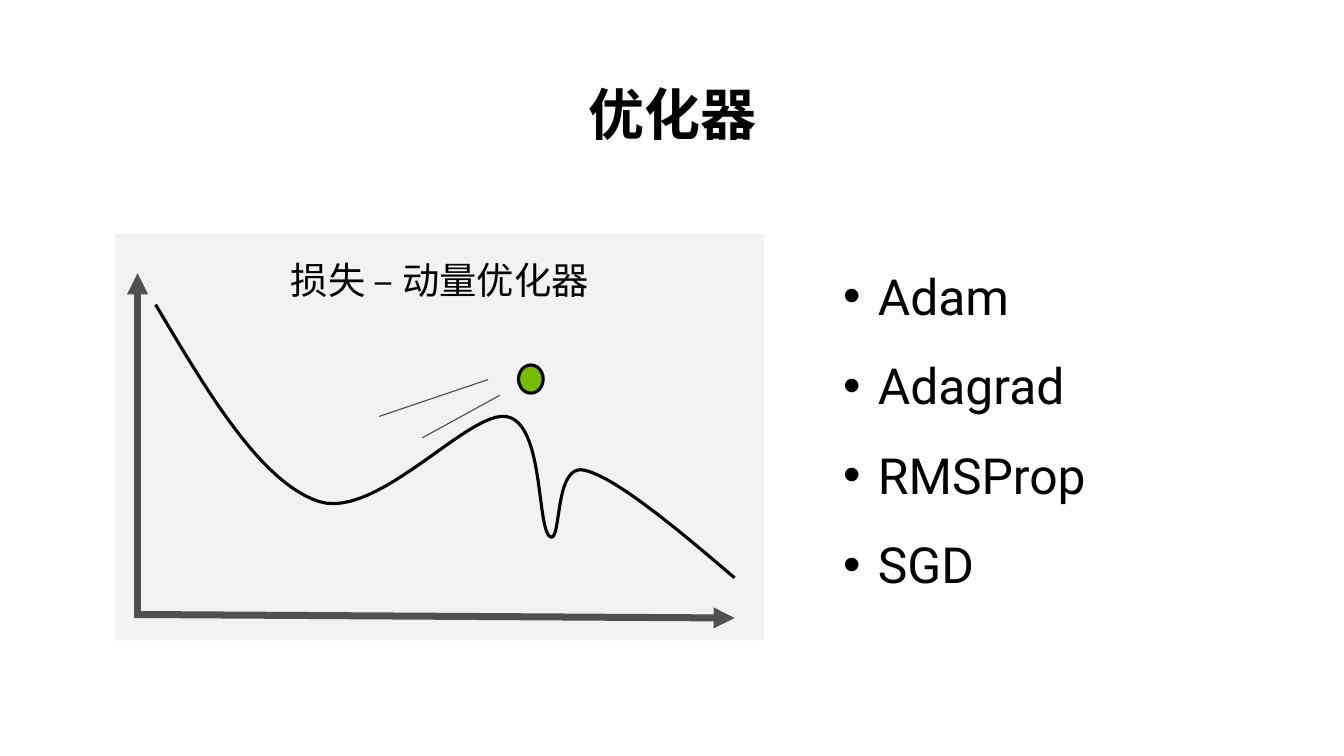
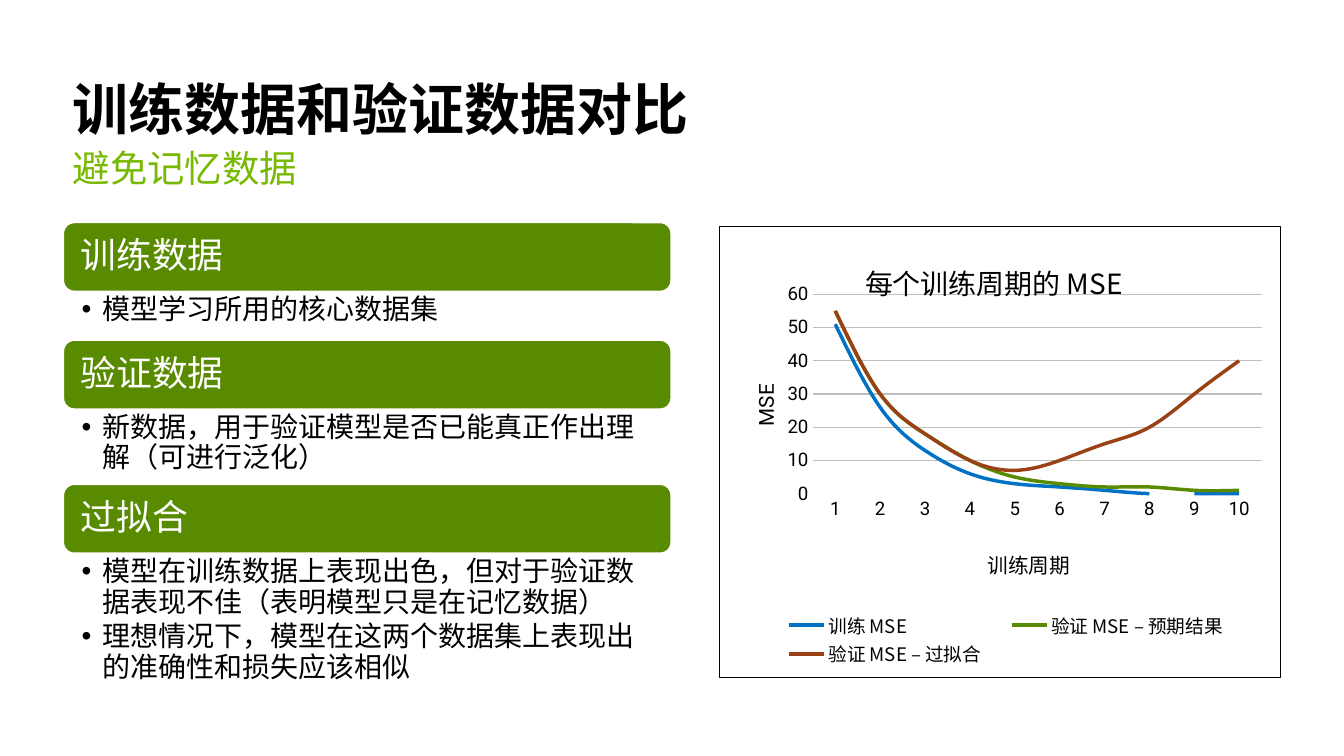
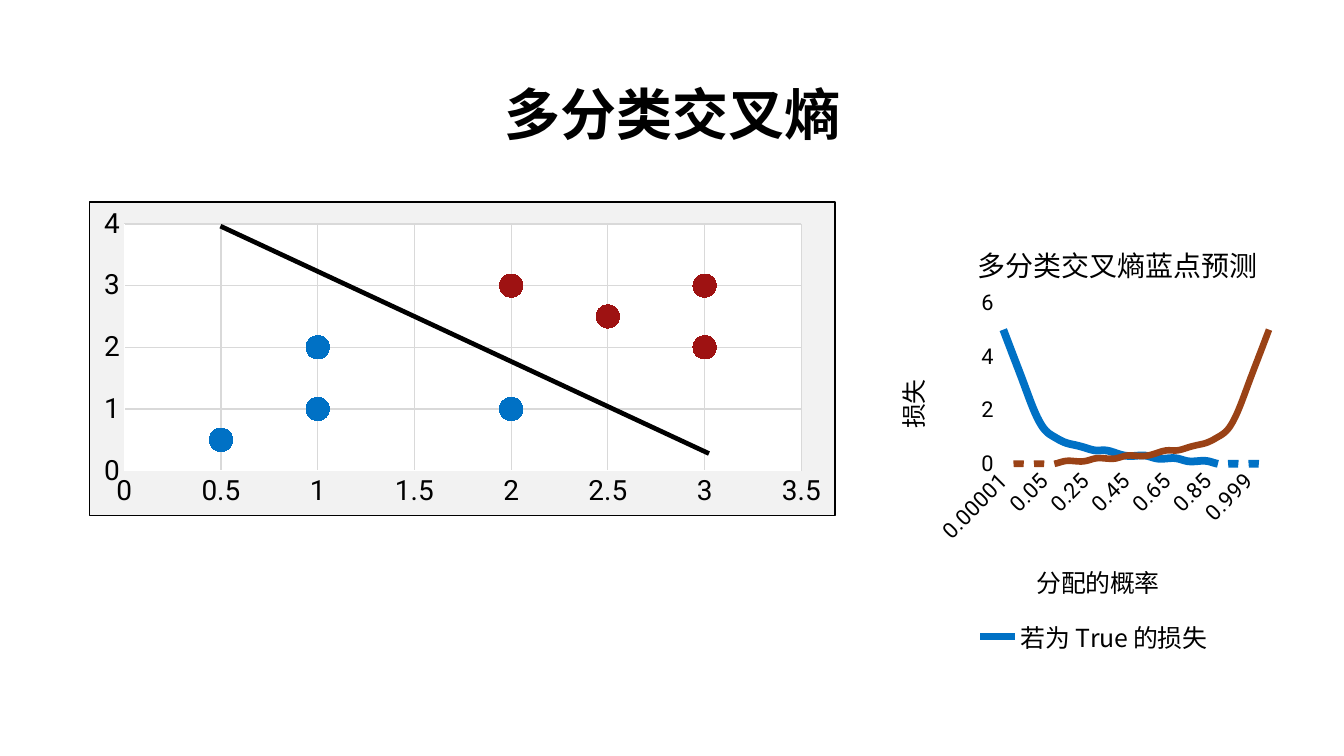
from pptx import Presentation
from pptx import util as u
from pptx.chart import data
from pptx.dml.color import RGBColor
from pptx.enum import chart as kinds
from pptx.enum import shapes, text
from pptx.oxml import parse_xml
from pptx.oxml.ns import nsdecls

Cm, Pt = u.Cm, u.Pt
BLACK = RGBColor(0, 0, 0)
WHITE = RGBColor(255, 255, 255)
PALE = RGBColor(0xF2, 0xF2, 0xF2)
GRAY = RGBColor(0x50, 0x50, 0x50)
MIST = RGBColor(0xD9, 0xD9, 0xD9)
SILVER = RGBColor(0xBF, 0xBF, 0xBF)
LIME = RGBColor(0x76, 0xB9, 0x00)
GREEN = RGBColor(0x59, 0x8B, 0x00)
BLUE = RGBColor(0x00, 0x71, 0xC5)
BROWN = RGBColor(0x9A, 0x42, 0x16)
RED = RGBColor(0x9E, 0x12, 0x12)
LATIN, HAN = "Roboto", "Noto Sans CJK SC"
LEFT, MID = text.PP_ALIGN.LEFT, text.PP_ALIGN.CENTER
TOP, HALF, LOW = text.MSO_ANCHOR.TOP, text.MSO_ANCHOR.MIDDLE, text.MSO_ANCHOR.BOTTOM
NS = nsdecls("a", "c")


def write(frame, words, size=18, color=BLACK, font=LATIN, bold=False, align=LEFT,
          anchor=None, pads=None, lines=None, after=None, hang=None):
    frame.word_wrap = True
    if anchor is not None:
        frame.vertical_anchor = anchor
    if pads:
        (frame.margin_left, frame.margin_top,
         frame.margin_right, frame.margin_bottom) = [Cm(pad) for pad in pads]
    for num, line in enumerate(words.split("\n")):
        para = frame.add_paragraph() if num else frame.paragraphs[0]
        para.alignment = align
        if lines:
            para.line_spacing = lines
        if after:
            para.space_after = Pt(after)
        if hang:
            props = para._p.get_or_add_pPr()
            props.set("marL", str(Cm(hang)))
            props.set("indent", str(-Cm(hang)))
            props.append(parse_xml(f'<a:buFont {NS} typeface="Arial"/>'))
            props.append(parse_xml(f'<a:buChar {NS} char="•"/>'))
        run = para.add_run()
        run.text = line
        run.font.name, run.font.size, run.font.bold = font, Pt(size), bold
        run.font.color.rgb = color


def layout(node, left, top, width=None, height=None, inner=False):
    for old in node.xpath("./c:layout"):
        node.remove(old)
    tags = '<c:layoutTarget val="inner"/>' if inner else ""
    tags += '<c:xMode val="edge"/><c:yMode val="edge"/>'
    for tag, val in zip("xywh", (left, top, width, height)):
        if val is not None:
            tags += f'<c:{tag} val="{val}"/>'
    part = parse_xml(f"<c:layout {NS}><c:manualLayout>{tags}</c:manualLayout></c:layout>")
    over = node.xpath("./c:overlay")
    if over:
        over[0].addprevious(part)
    else:
        node.insert(0, part)


deck = Presentation()
deck.slide_width, deck.slide_height = Cm(30.48), Cm(17.15)
pages = []
for name, top, width, height, align in [
    ("优化器", 1.83, 27.71, 1.65, MID),
    ("训练数据和验证数据对比", 1.63, 16.46, 1.73, LEFT),
    ("多分类交叉熵", 1.83, 27.71, 1.65, MID),
]:
    page = deck.slides.add_slide(deck.slide_layouts[6])
    box = page.shapes.add_textbox(Cm(1.4), Cm(top), Cm(width), Cm(height))
    write(box.text_frame, name, size=36, bold=True, align=align, anchor=LOW, lines=0.9)
    pages.append(page)
first, second, third = pages

panel = first.shapes.add_shape(shapes.MSO_SHAPE.RECTANGLE,
                               Cm(2.62), Cm(5.31), Cm(14.71), Cm(9.22))
panel.shadow.inherit = False
panel.fill.solid()
panel.fill.fore_color.rgb = PALE
panel.line.fill.background()
write(panel.text_frame, "损失 – 动量优化器", size=24, align=MID, anchor=TOP,
      pads=(0.25, 0.53, 0.25, 0.13))

start = (3.53, 6.91)
bends = [
    ((4.72, 8.92), (5.92, 10.95), (7.24, 11.38)),
    ((8.56, 11.79), (10.62, 9.32), (11.48, 9.45)),
    ((12.34, 9.58), (12.17, 11.96), (12.47, 12.17)),
    ((12.75, 12.37), (12.55, 10.49), (13.26, 10.67)),
    ((13.94, 10.82), (15.32, 11.96), (16.66, 13.11)),
]
pen = first.shapes.build_freeform(Cm(start[0]), Cm(start[1]))
dots = []
for one, two, end in bends:
    for step in range(1, 25):
        t = step / 24
        dots.append([Cm((1 - t) ** 3 * a + 3 * t * (1 - t) ** 2 * b
                        + 3 * t * t * (1 - t) * c + t ** 3 * d)
                     for a, b, c, d in zip(start, one, two, end)])
    start = end
pen.add_line_segments(dots, close=False)
curve = pen.convert_to_shape()
curve.fill.background()
ball = first.shapes.add_shape(shapes.MSO_SHAPE.OVAL,
                              Cm(11.76), Cm(8.28), Cm(0.56), Cm(0.64))
ball.fill.solid()
ball.fill.fore_color.rgb = LIME
for item in (curve, ball):
    item.shadow.inherit = False
    item.line.color.rgb = BLACK
    item.line.width = Pt(2)

box = first.shapes.add_textbox(Cm(18.87), Cm(5.31), Cm(8.51), Cm(8.2))
write(box.text_frame, "Adam\nAdagrad\nRMSProp\nSGD", size=32, anchor=HALF,
      lines=1.5, hang=0.79)

box = second.shapes.add_textbox(Cm(1.4), Cm(3.28), Cm(16.46), Cm(1.45))
write(box.text_frame, "避免记忆数据", size=24, color=LIME, lines=0.9)

top = 5.03
for head, body, height in [
    ("训练数据", "模型学习所用的核心数据集", 1.07),
    ("验证数据", "新数据，用于验证模型是否已能真正作出理解（可进行泛化）", 1.67),
    ("过拟合", "模型在训练数据上表现出色，但对于验证数据表现不佳（表明模型只是在记忆数据）\n"
     "理想情况下，模型在这两个数据集上表现出的准确性和损失应该相似", 3.3),
]:
    bar = second.shapes.add_shape(shapes.MSO_SHAPE.ROUNDED_RECTANGLE,
                                  Cm(1.42), Cm(top), Cm(13.82), Cm(1.6))
    bar.shadow.inherit = False
    bar.fill.solid()
    bar.fill.fore_color.rgb = GREEN
    bar.line.color.rgb = WHITE
    bar.line.width = Pt(2)
    write(bar.text_frame, head, size=23, color=WHITE, anchor=HALF,
          pads=(0.33, 0.25, 0.33, 0.25), lines=0.9)
    box = second.shapes.add_textbox(Cm(1.42), Cm(top + 1.6), Cm(13.82), Cm(height))
    write(box.text_frame, body, pads=(0.43, 0.08, 0.46, 0.08), lines=0.9,
          after=3, hang=0.48)
    top += 1.6 + height

epochs = data.CategoryChartData()
epochs.categories = [str(num) for num in range(1, 11)]
epochs.add_series("训练 MSE", [51, 26, 13, 6, 3, 2, 1, 0, 0, 0])
epochs.add_series("验证 MSE – 预期结果", [55, 30, 18, 10, 5, 3, 2, 2, 1, 1])
epochs.add_series("验证 MSE – 过拟合", [55, 30, 18, 10, 7, 10, 15, 20, 30, 40])

odds = data.CategoryChartData()
odds.categories = (["0.00001", "0.0001", "0.001", "0.01"]
                   + [f"{num / 20:g}" for num in range(1, 20)]
                   + ["0.99", "0.999", "0.9999", "0.99999"])
odds.add_series("若为 True 的损失", [
    5, 4, 3, 2, 1.3, 1, 0.8, 0.7, 0.6, 0.5, 0.5, 0.4, 0.3, 0.3,
    0.3, 0.2, 0.2, 0.2, 0.1, 0.1, 0.1, 0, 0, 0, 0, 0, 0])
odds.add_series("若为 False 的损失", [
    0, 0, 0, 0, 0, 0, 0.1, 0.1, 0.1, 0.2, 0.2, 0.2, 0.3, 0.3,
    0.3, 0.4, 0.5, 0.5, 0.6, 0.7, 0.8, 1, 1.3, 2, 3, 4, 5])

points = data.XyChartData()
for name, pairs in [
    ("Series 1", [(1, 1), (1, 2), (2, 1), (0.5, 0.5)]),
    ("Series 2", [(2, 3), (3, 3), (3, 2), (2.5, 2.5)]),
]:
    group = points.add_series(name)
    for x, y in pairs:
        group.add_data_point(x, y)

EDGE = '<a:ln w="9525"><a:solidFill><a:srgbClr val="000000"/></a:solidFill></a:ln>'
BARE = "<a:noFill/><a:ln><a:noFill/></a:ln>"
FILL = '<a:solidFill><a:srgbClr val="{}"/></a:solidFill>'
LINE, CLOUD = kinds.XL_CHART_TYPE.LINE, kinds.XL_CHART_TYPE.XY_SCATTER
for page, kind, spot, source, size, peak, unit, grid, plot, skin, inks, names, key in [
    (second, LINE, (16.31, 5.13, 12.75, 10.26), epochs, 12, 60, 10, SILVER,
     (0.166, 0.15, 0.8, 0.442), EDGE, [(BLUE, 2.25), (GREEN, 2.25), (BROWN, 2.25)],
     [("每个训练周期的 MSE", 18, HAN, 0.25, 0.06), ("训练周期", 13.3, HAN, 0.47, 0.7),
      ("MSE", 13.3, LATIN, 0.05, 0.34)], (12, 0.08, 0.85, 0.86, 0.13)),
    (third, CLOUD, (2.01, 4.57, 16.94, 7.14), points, 18, 4, 1, MIST,
     (0.047, 0.07, 0.908, 0.787), FILL.format(PALE) + EDGE, [(BLUE, 0), (RED, 0)],
     [], None),
    (third, LINE, (19.46, 4.7, 9.63, 10.59), odds, 14, 6, 2, WHITE,
     (0.33, 0.205, 0.65, 0.345), BARE, [(BLUE, 5), (BROWN, 4.25)],
     [("多分类交叉熵蓝点预测", 18, HAN, 0.27, 0.06), ("分配的概率", 16, LATIN, 0.41, 0.75),
      ("损失", 16, HAN, 0.07, 0.36)], (16, 0.23, 0.88, 0.65, 0.08)),
]:
    chart = page.shapes.add_chart(kind, *[Cm(num) for num in spot], source).chart
    root = chart.element
    chart.font.name, chart.font.size = LATIN, Pt(10)
    chart.font.color.rgb = BLACK
    chart.has_title = bool(names)
    chart.has_legend = bool(key)
    across, up = chart.category_axis, chart.value_axis
    up.minimum_scale, up.maximum_scale, up.major_unit = 0, peak, unit
    across.has_major_gridlines = kind == CLOUD
    up.has_major_gridlines = True
    for axis in (across, up):
        axis.major_tick_mark = axis.minor_tick_mark = kinds.XL_TICK_MARK.NONE
        axis.tick_labels.font.size = Pt(size)
        axis.tick_labels.font.name = LATIN
        axis.tick_labels.font.color.rgb = BLACK
        axis.format.line.color.rgb = WHITE
        axis.format.line.width = Pt(0.75)
        if axis.has_major_gridlines:
            axis.major_gridlines.format.line.color.rgb = grid
            axis.major_gridlines.format.line.width = Pt(0.75)
    area = root.xpath("./c:chart/c:plotArea")[0]
    layout(area, *plot, inner=True)
    root.xpath("./c:chart")[0].addnext(parse_xml(f"<c:spPr {NS}>{skin}</c:spPr>"))
    for group, (ink, weight) in zip(chart.plots[0].series, inks):
        if kind == LINE:
            group.smooth = True
            group.format.line.color.rgb = ink
            group.format.line.width = Pt(weight)
        else:
            group.format.line.fill.background()
            mark = group.marker
            mark.style, mark.size = kinds.XL_MARKER_STYLE.CIRCLE, 15
            mark.format.fill.solid()
            mark.format.fill.fore_color.rgb = ink
            mark.format.line.color.rgb = ink
    if kind == CLOUD:
        across.minimum_scale, across.maximum_scale, across.major_unit = 0, 3.5, 0.5
        area.append(parse_xml(f"<c:spPr {NS}>{FILL.format(WHITE)}</c:spPr>"))
    else:
        chart.plots[0].vary_by_categories = False
        up.format.line.fill.background()
        for node in root.xpath(".//c:valAx[not(c:crossBetween)]/c:crosses"):
            node.addnext(parse_xml(f'<c:crossBetween {NS} val="between"/>'))
        holds = (chart.chart_title, across.axis_title, up.axis_title)
        for hold, (words, scale, font, left, high) in zip(holds, names):
            write(hold.text_frame, words, size=scale, font=font, align=MID)
        for node, (*_, left, high) in zip(root.xpath(".//c:title"), names):
            layout(node, left, high)
        root.xpath(".//c:valAx/c:title//a:bodyPr")[0].set("rot", "-5400000")
        legend = chart.legend
        legend.position = kinds.XL_LEGEND_POSITION.BOTTOM
        legend.include_in_layout = False
        legend.font.name, legend.font.size = HAN, Pt(key[0])
        legend.font.color.rgb = BLACK
        layout(root.xpath(".//c:legend")[0], key[1], key[2], key[3], key[4])
    if source is odds:
        root.xpath(".//c:legendPos")[0].addnext(parse_xml(
            f'<c:legendEntry {NS}><c:idx val="1"/><c:delete val="1"/></c:legendEntry>'))
        root.xpath(".//c:catAx/c:txPr/a:bodyPr")[0].set("rot", "-2700000")
        root.xpath(".//c:catAx/c:noMultiLvlLbl")[0].addprevious(
            parse_xml(f'<c:tickLblSkip {NS} val="4"/>'))
    for node in root.xpath(".//a:latin"):
        node.addnext(parse_xml(f'<a:ea {NS} typeface="{HAN}"/>'))

for page, ends, ink, weight, arrow in [
    (first, (3.12, 14.02, 3.12, 6.2), GRAY, 4.5, True),
    (first, (3.12, 13.94, 16.66, 14.02), GRAY, 4.5, True),
    (first, (11.33, 8.97, 9.58, 9.93), GRAY, 0.75, False),
    (first, (11.07, 8.61, 8.59, 9.45), GRAY, 0.75, False),
    (third, (5, 5.13, 16.08, 10.29), BLACK, 3, False),
]:
    link = page.shapes.add_connector(shapes.MSO_CONNECTOR.STRAIGHT,
                                     *[Cm(num) for num in ends])
    link.line.color.rgb = ink
    link.line.width = Pt(weight)
    if arrow:
        link.element.xpath(".//a:ln")[0].append(
            parse_xml(f'<a:tailEnd {NS} type="triangle"/>'))
    link.element.spPr.append(parse_xml(f"<a:effectLst {NS}/>"))

for page in pages:
    for node in page.element.xpath(".//a:latin"):
        node.addnext(parse_xml(f'<a:ea {NS} typeface="{HAN}"/>'))

deck.save("out.pptx")
